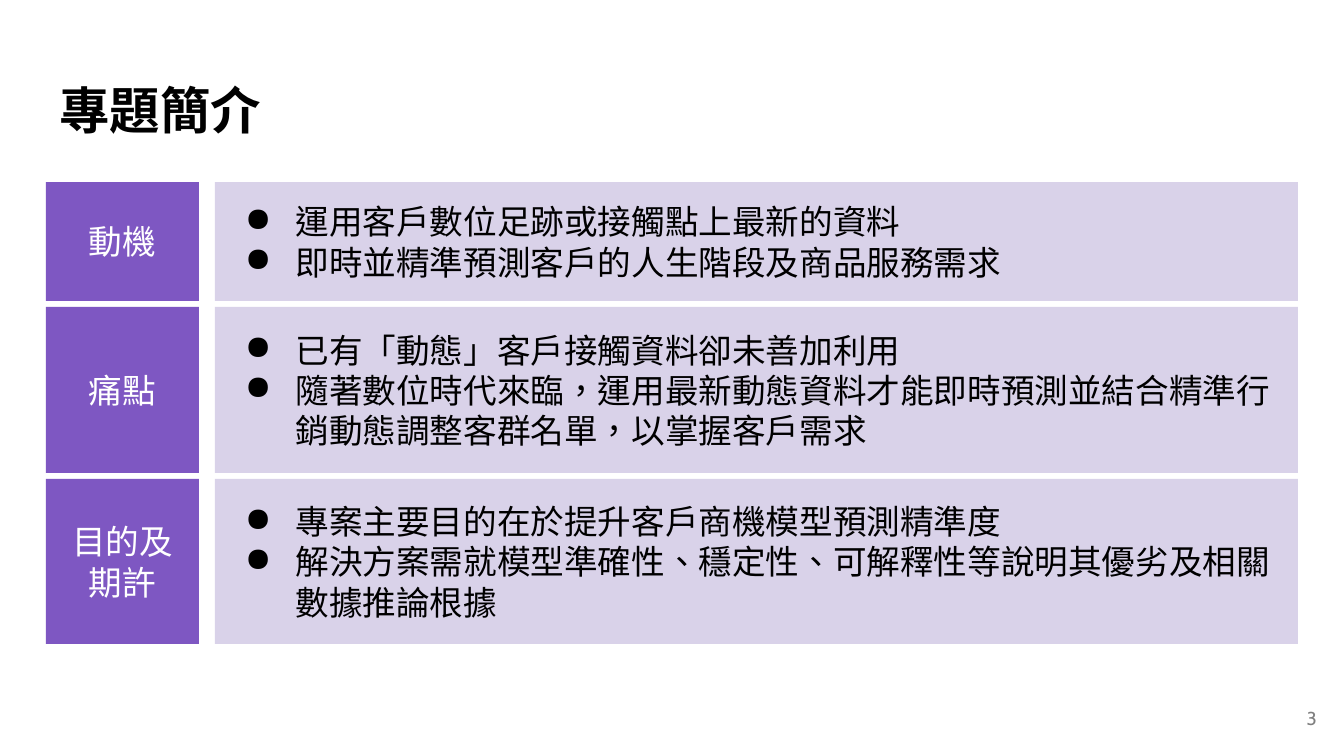
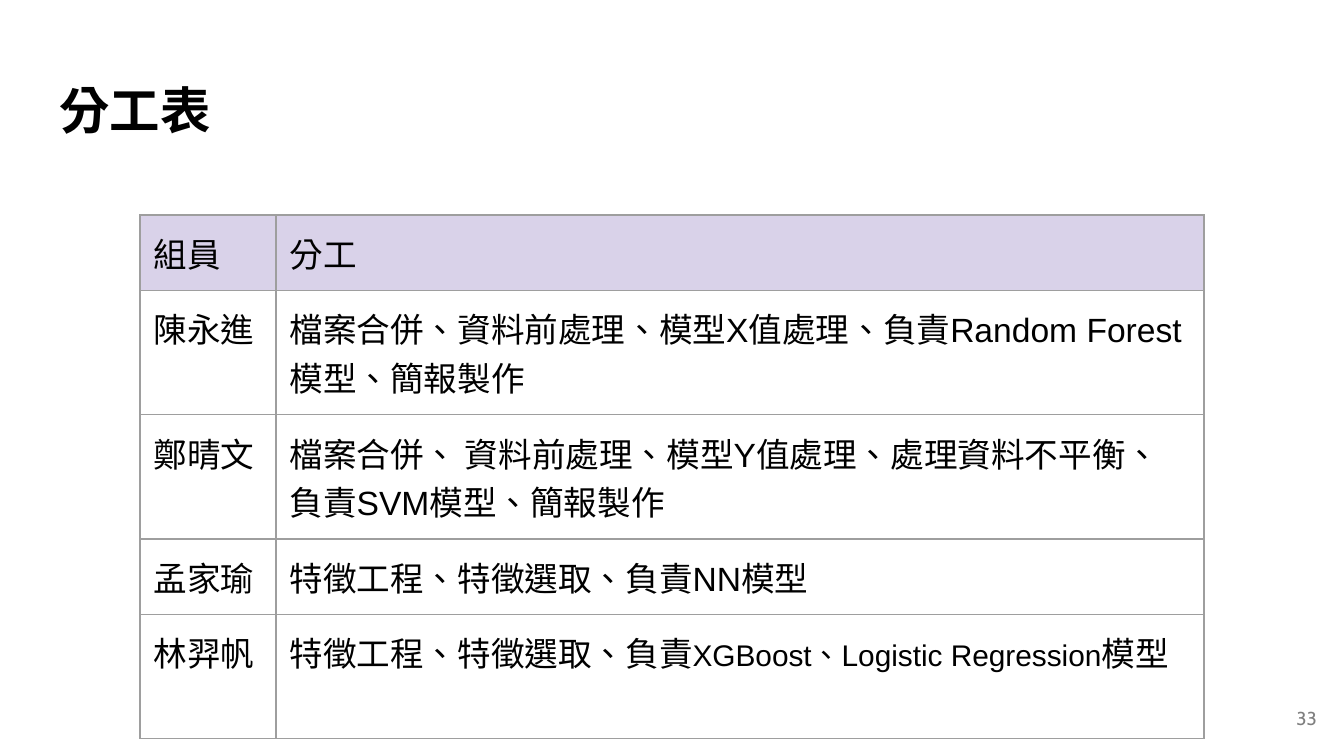
import pptx
import pptx.dml.color
import pptx.enum.lang
import pptx.enum.shapes
import pptx.enum.text
import pptx.oxml
import pptx.oxml.ns
import pptx.util
import lxml.etree as etree

RGBColor = pptx.dml.color.RGBColor
ALIGN = pptx.enum.text.PP_ALIGN
ANCHOR = pptx.enum.text.MSO_ANCHOR
qn = pptx.oxml.ns.qn

BLACK = RGBColor(0x00, 0x00, 0x00)
WHITE = RGBColor(0xFF, 0xFF, 0xFF)
PURPLE = RGBColor(0x7E, 0x57, 0xC2)
LILAC = RGBColor(0xD9, 0xD2, 0xE9)
GREY = RGBColor(0x7F, 0x7F, 0x7F)
BORDER = RGBColor(0x9E, 0x9E, 0x9E)

SCALE = 914400 / 134.4  # EMU in one pixel
INSET = 91440
LEFT, PANEL_LEFT, RIGHT = 46, 215, 1298
ROW_GAP = 6


def px(*lengths):
    """Turn pixel lengths into a list of EMU lengths."""
    return [pptx.util.Emu(round(length * SCALE)) for length in lengths]


def style(para, size, name, color, align=ALIGN.LEFT, east_asian=True):
    """Format a paragraph, using its font for Chinese text too if asked."""
    para.alignment = align
    font = para.font
    font.size = pptx.util.Pt(size)
    font.name = name
    font.color.rgb = color
    font.language_id = pptx.enum.lang.MSO_LANGUAGE_ID.TRADITIONAL_CHINESE
    if east_asian:
        para._p.pPr.find(qn("a:defRPr")).find(qn("a:latin")).addnext(
            pptx.oxml.parse_xml(
                f'<a:ea {pptx.oxml.ns.nsdecls("a")} typeface="{name}"/>'))


deck = pptx.Presentation()
deck.slide_width, deck.slide_height = px(1344, 756)

# Title and page number of every slide
pages = []
for title, number in (("專題簡介", "3"), ("分工表", "33")):
    page = deck.slides.add_slide(deck.slide_layouts[5])
    pages.append(page)
    heading = page.shapes.title
    heading.left, heading.top, heading.width, heading.height = px(46, 66, 1252, 91)
    number_box = page.shapes.add_textbox(*px(1249, 689, 81, 58))
    for box, words, anchor in ((heading, title, ANCHOR.TOP),
                               (number_box, number, ANCHOR.MIDDLE)):
        frame = box.text_frame
        frame.text = words
        frame.word_wrap = True
        frame.auto_size = pptx.enum.text.MSO_AUTO_SIZE.NONE
        frame.vertical_anchor = anchor
        frame.margin_left = frame.margin_right = INSET
        frame.margin_top = frame.margin_bottom = INSET
    style(heading.text_frame.paragraphs[0], 27, "Manrope", BLACK)
    heading.text_frame.paragraphs[0].font.bold = True
    style(number_box.text_frame.paragraphs[0], 10, "Cabin", GREY, ALIGN.RIGHT)

intro_page, work_page = pages

# Introduction: a label and a bulleted panel in each row
topics = [
    ("動機", "Arial", 119, ["運用客戶數位足跡或接觸點上最新的資料",
                          "即時並精準預測客戶的人生階段及商品服務需求"]),
    ("痛點", "Arial", 166, ["已有「動態」客戶接觸資料卻未善加利用",
                          "隨著數位時代來臨，運用最新動態資料才能即時預測並結合精準行銷動態調整客群名單，以掌握客戶需求"]),
    ("目的及期許", "Cabin", 165, ["專案主要目的在於提升客戶商機模型預測精準度",
                             "解決方案需就模型準確性、穩定性、可解釋性等說明其優劣及相關數據推論根據"]),
]
top = 182
for label, label_font, height, points in topics:
    for left, width, fill, lines in ((LEFT, 153, PURPLE, [label]),
                                     (PANEL_LEFT, RIGHT - PANEL_LEFT, LILAC, points)):
        box = intro_page.shapes.add_shape(
            pptx.enum.shapes.MSO_SHAPE.RECTANGLE, *px(left, top, width, height))
        box.shadow.inherit = False
        box.fill.solid()
        box.fill.fore_color.rgb = fill
        box.line.fill.background()
        frame = box.text_frame
        frame.word_wrap = True
        frame.vertical_anchor = ANCHOR.MIDDLE
        frame.margin_left = frame.margin_right = INSET
        frame.margin_top = frame.margin_bottom = INSET
        frame.text = "\n".join(lines)
        for para in frame.paragraphs:
            if fill == PURPLE:
                style(para, 18, label_font, WHITE, ALIGN.CENTER)
                continue
            style(para, 18, "Cabin", BLACK)
            props = para._p.pPr
            props.set("marL", "457200")
            props.set("indent", "-342900")
            bullet = etree.Element(qn("a:buChar"), char="●")
            props.find(qn("a:defRPr")).addprevious(bullet)
    top += height + ROW_GAP

# Division of work: one row for each member, cells as lists of (text, size)
work_rows = [
    ("組員", [("分工", 18)]),
    ("陳永進", [("檔案合併、資料前處理、模型X值處理、負責Random Forest模型、簡報製作", 18)]),
    ("鄭晴文", [("檔案合併、 資料前處理、模型Y值處理、處理資料不平衡、負責SVM模型、簡報製作", 18)]),
    ("孟家瑜", [("特徵工程、特徵選取、負責NN模型", 18)]),
    ("林羿帆", [("特徵工程、特徵選取、負責", 18),
              ("XGBoost、Logistic Regression", 16), ("模型", 18)]),
]
table = work_page.shapes.add_table(
    len(work_rows), 2, *px(140, 215, 1064, 57 * len(work_rows))).table
table.first_row = table.horz_banding = False
table.columns[0].width, table.columns[1].width = px(136, 928)
for row, (member, tasks) in enumerate(work_rows):
    for column, spans in enumerate(([(member, 18)], tasks)):
        cell = table.cell(row, column)
        cell.margin_left = cell.margin_right = INSET
        cell.margin_top = cell.margin_bottom = INSET
        para = cell.text_frame.paragraphs[0]
        style(para, 18, "Arial", BLACK, east_asian=False)
        for words, size in spans:
            span = para.add_run()
            span.text = words
            if size != 18:
                span.font.size = pptx.util.Pt(size)
        for side in ("lnL", "lnR", "lnT", "lnB"):
            edge = etree.SubElement(cell._tc.get_or_add_tcPr(), qn(f"a:{side}"), w="9525")
            paint = etree.SubElement(edge, qn("a:solidFill"))
            etree.SubElement(paint, qn("a:srgbClr"), val=str(BORDER))
        if row == 0:
            cell.fill.solid()
            cell.fill.fore_color.rgb = LILAC
        else:
            cell.fill.background()

deck.save("out.pptx")
